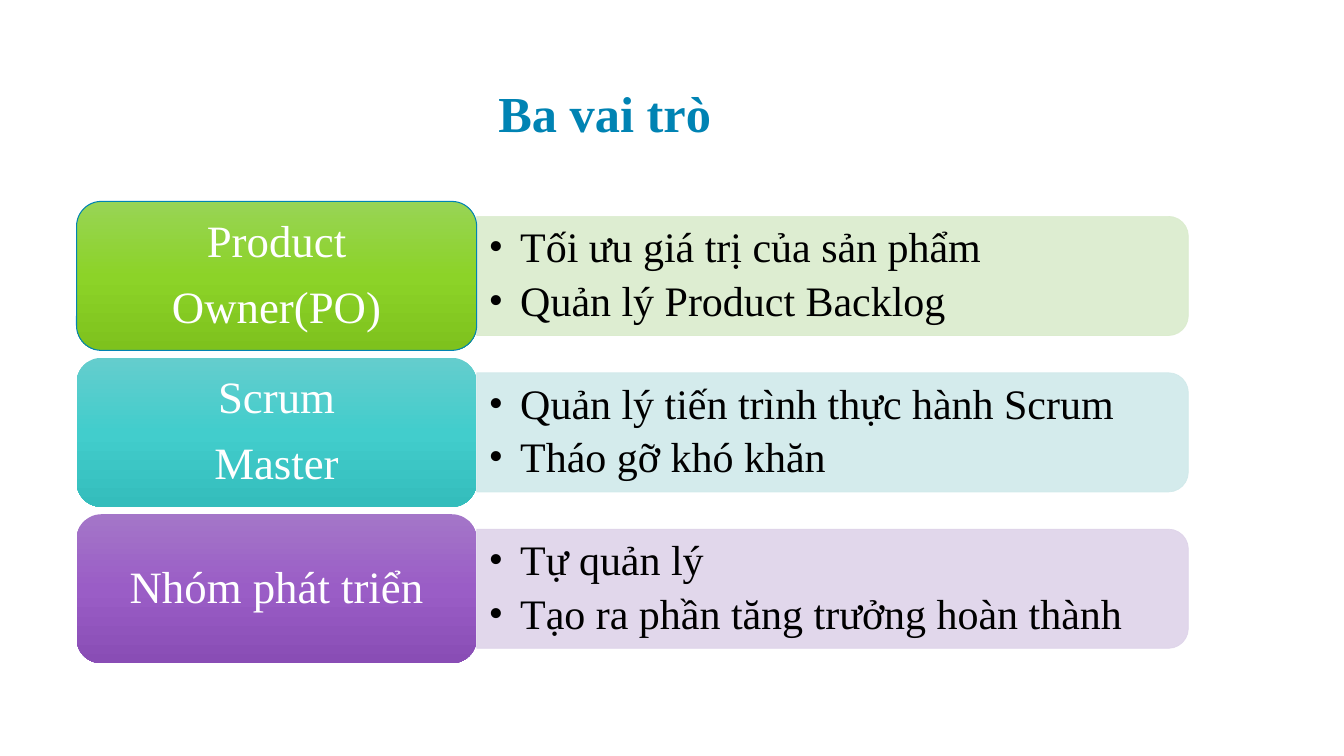
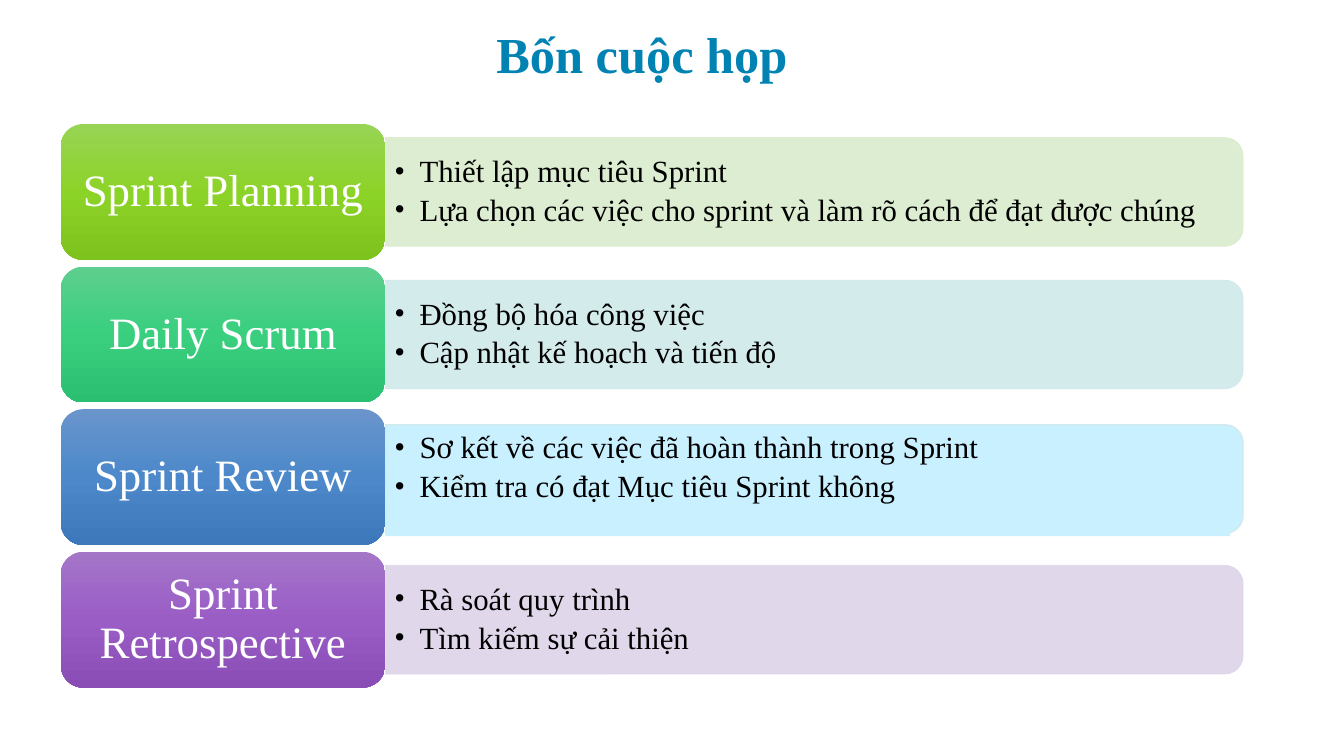
from copy import deepcopy

from pptx import Presentation
from pptx.dml.color import RGBColor
from pptx.enum.shapes import MSO_SHAPE
from pptx.enum.text import MSO_ANCHOR, PP_ALIGN
from pptx.oxml.ns import qn
from pptx.util import Pt
from lxml import etree

FONT = "Times New Roman"
TITLE_COLOR, LABEL_COLOR, BULLET_COLOR = "0083B3", "FFFFFF", "000000"
TITLE_SIZE, LABEL_SIZE = 36, 32
BAND_SHARE = 0.8  # band height as a share of the label height
ROW_PITCH = 1.05  # row step as a multiple of the label height

GREEN = ("98D455", "8CD328", "7EC21D")
TEAL = ("64CDCD", "42CDCC", "34BDBC")
EMERALD = ("5ECF8E", "39CF7F", "2BC071")
BLUE = ("6A95CB", "4C88CA", "3D78BA")
PURPLE = ("A476C8", "9A5DC6", "894DB5")
PALE_GREEN, PALE_TEAL, PALE_BLUE, PALE_PURPLE = "DAECCD", "D0E9EA", "C9F0FF", "DED3E9"

SLIDES = [
    {
        "title": "Ba vai trò", "title_at": (90, 20.9),
        "left": 54.7, "top": 143.9, "label_width": 285.8, "row_height": 106.4,
        "band_width": 508.3, "bullet_size": 30, "indent": 22.5, "inset": 8.6,
        "bullet_gap": 6,
        "rows": [
            {"label": ["Product", "Owner(PO)"], "shades": GREEN, "band": PALE_GREEN,
             "outline": TITLE_COLOR,
             "bullets": ["Tối ưu giá trị của sản phẩm", "Quản lý Product Backlog"]},
            {"label": ["Scrum", "Master"], "shades": TEAL, "band": PALE_TEAL,
             "bullets": ["Quản lý tiến trình thực hành Scrum", "Tháo gỡ khó khăn"]},
            {"label": ["Nhóm phát triển"], "shades": PURPLE, "band": PALE_PURPLE,
             "bullets": ["Tự quản lý", "Tạo ra phần tăng trưởng hoàn thành"]},
        ],
    },
    {
        "title": "Bốn cuộc họp", "title_at": (116.6, -20.9),
        "left": 43.4, "top": 88.6, "label_width": 231.8, "row_height": 97,
        "band_width": 612.7, "bullet_size": 22, "indent": 18, "inset": 6.5,
        "bullet_gap": 4,
        "rows": [
            {"label": ["Sprint Planning"], "shades": GREEN, "band": PALE_GREEN,
             "bullets": ["Thiết lập mục tiêu Sprint",
                         "Lựa chọn các việc cho sprint và làm rõ cách để đạt được chúng"]},
            {"label": ["Daily Scrum"], "shades": EMERALD, "band": PALE_TEAL,
             "bullets": ["Đồng bộ hóa công việc", "Cập nhật kế hoạch và tiến độ"]},
            {"label": ["Sprint Review"], "shades": BLUE, "band": PALE_BLUE,
             "band_outline": PALE_TEAL, "band_shift": 1.4, "plate_shift": 7.2,
             "room_below": 26.8,
             "bullets": ["Sơ kết về các việc đã hoàn thành trong Sprint",
                         "Kiểm tra có đạt Mục tiêu Sprint không"]},
            {"label": ["Sprint", "Retrospective"], "shades": PURPLE, "band": PALE_PURPLE,
             "joined": True, "bullets": ["Rà soát quy trình", "Tìm kiếm sự cải thiện"]},
        ],
    },
]


def rgb(color):
    return RGBColor.from_string(color)


def set_all(target, values):
    for name, value in values.items():
        setattr(target, name, value)


def write(shape, lines, size, color, spacing=0.9, gap=0, align=PP_ALIGN.CENTER,
          bold=False, anchor=MSO_ANCHOR.MIDDLE, margins=(7.2, 3.6, 7.2, 3.6)):
    frame = shape.text_frame
    sides = ("margin_left", "margin_top", "margin_right", "margin_bottom")
    set_all(frame, {"word_wrap": True, "vertical_anchor": anchor,
                    **dict(zip(sides, map(Pt, margins)))})
    frame.text = "\n".join(lines)
    for paragraph in frame.paragraphs:
        set_all(paragraph, {"alignment": align, "line_spacing": spacing,
                            "space_before": Pt(0), "space_after": Pt(gap)})
        set_all(paragraph.font, {"name": FONT, "size": Pt(size), "bold": bold})
        paragraph.font.color.rgb = rgb(color)
        for run in paragraph.runs:
            set_all(run.font, {"name": FONT, "size": Pt(size), "bold": bold})
            run.font.color.rgb = rgb(color)
    return frame


def add_bullets(frame, indent):
    for paragraph in frame.paragraphs:
        properties = paragraph._p.get_or_add_pPr()
        properties.set("marL", str(Pt(indent)))
        properties.set("indent", str(-Pt(indent)))
        bullet_font = etree.SubElement(properties, qn("a:buFont"))
        bullet_font.set("typeface", FONT)
        etree.SubElement(properties, qn("a:buChar")).set("char", "•")
        defaults = properties.find(qn("a:defRPr"))
        if defaults is not None:
            properties.append(defaults)


def add_shape(slide, preset, left, top, width, height):
    shape = slide.shapes.add_shape(preset, Pt(left), Pt(top), Pt(width), Pt(height))
    shape.shadow.inherit = False
    shape.line.fill.background()
    return shape


def outline(shape, color, width):
    shape.line.color.rgb = rgb(color)
    shape.line.width = Pt(width)


def shade(shape, colors):
    """Fill from top to bottom with evenly spaced colours."""
    shape.fill.gradient()
    shape.fill.gradient_angle = 270
    stops = shape._element.spPr.find(".//" + qn("a:gsLst"))
    while len(stops) < len(colors):
        stops.append(deepcopy(stops[-1]))
    for i, (stop, color) in enumerate(zip(shape.fill.gradient_stops, colors)):
        stop.color.rgb = rgb(color)
        stop.position = i / (len(colors) - 1)


def add_band(slide, left, middle, width, height, row):
    """Draw a bar rounded on its right end only: a top-rounded shape, turned."""
    center = left + width / 2
    band = add_shape(slide, MSO_SHAPE.ROUND_2_SAME_RECTANGLE,
                     center - height / 2, middle - width / 2, height, width)
    band.rotation = 90
    band.fill.solid()
    band.fill.fore_color.rgb = rgb(row["band"])
    framed = "band_outline" in row
    outline(band, row.get("band_outline", row["band"]), 1 if framed else 0.5)
    translucent = band.line._ln if framed else band._element.spPr
    for color in translucent.iter(qn("a:srgbClr")):
        etree.SubElement(color, qn("a:alpha")).set("val", "90000")


def add_row(slide, content, row, top):
    height, left = content["row_height"], content["left"]
    middle = top + height / 2
    band_left = left + content["label_width"]
    band_height = height * BAND_SHARE
    add_band(slide, band_left, middle + row.get("band_shift", 0),
             content["band_width"], band_height, row)

    plate_height = band_height * 0.9
    plate_width = content["band_width"] - (9 if "plate_shift" in row else 4)
    plate = add_shape(slide, MSO_SHAPE.RECTANGLE, band_left,
                      middle + row.get("plate_shift", 0) - plate_height / 2,
                      plate_width, plate_height)
    if "plate_shift" in row:
        plate.fill.solid()
        plate.fill.fore_color.rgb = rgb(row["band"])
    else:
        plate.fill.background()
    inset = content["inset"]
    frame = write(plate, row["bullets"], content["bullet_size"], BULLET_COLOR,
                  gap=content["bullet_gap"], align=PP_ALIGN.LEFT,
                  margins=(inset, 3, inset, 3 + row.get("room_below", 0)))
    add_bullets(frame, content["indent"])

    label = add_shape(slide, MSO_SHAPE.ROUNDED_RECTANGLE, left, top,
                      content["label_width"], height)
    shade(label, row["shades"])
    if "outline" in row:
        outline(label, row["outline"], 0.75)
    write(label, row["label"], LABEL_SIZE, LABEL_COLOR,
          gap=0 if row.get("joined") else 12.6, margins=(7, 5, 7, 5))


def add_slide(deck, content):
    slide = deck.slides.add_slide(deck.slide_layouts[6])
    left, top = content["title_at"]
    title = slide.shapes.add_textbox(Pt(left), Pt(top), Pt(684), Pt(84.2))
    write(title, [content["title"]], TITLE_SIZE, TITLE_COLOR, spacing=0.8,
          bold=True, anchor=MSO_ANCHOR.BOTTOM)
    for i, row in enumerate(content["rows"]):
        add_row(slide, content, row,
                content["top"] + i * content["row_height"] * ROW_PITCH)


def main():
    deck = Presentation()
    set_all(deck, {"slide_width": Pt(960), "slide_height": Pt(540)})
    for content in SLIDES:
        add_slide(deck, content)
    deck.save("out.pptx")


if __name__ == "__main__":
    main()
